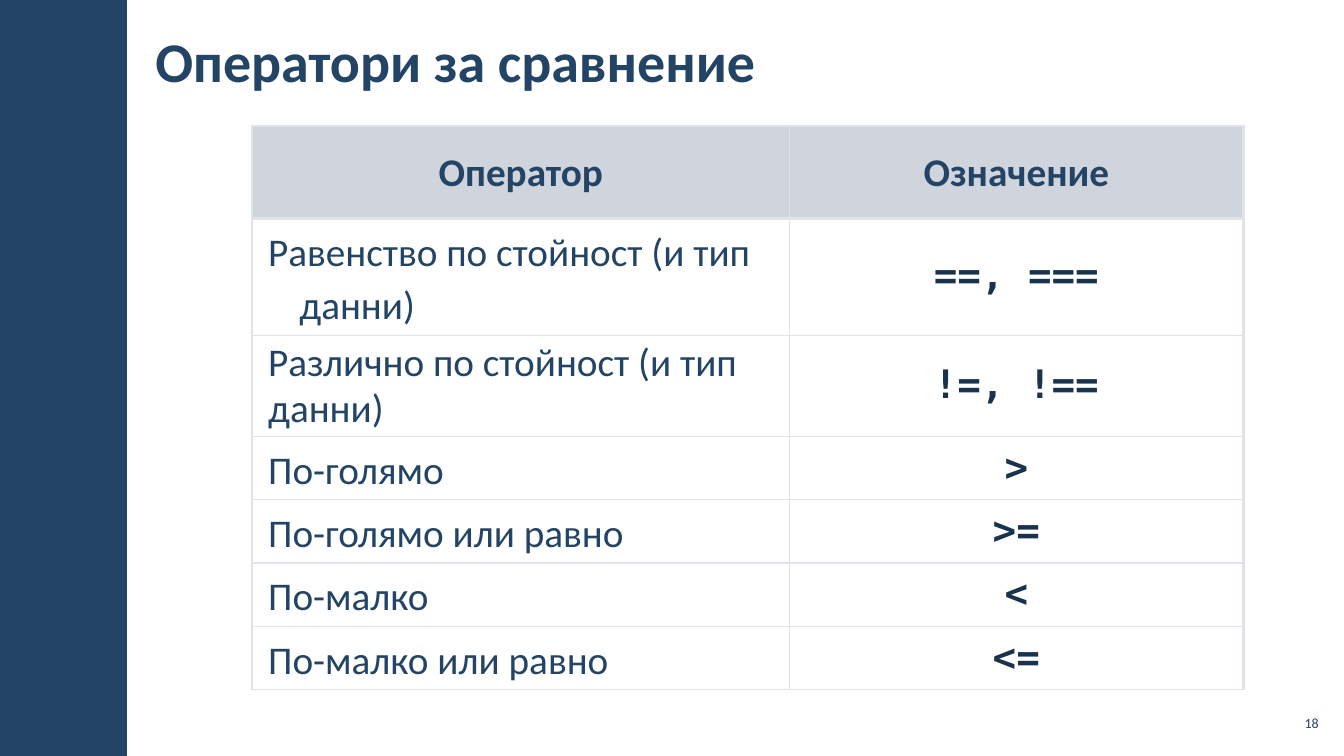
from lxml import etree
from pptx import Presentation
from pptx.dml.color import RGBColor
from pptx.enum.shapes import MSO_SHAPE
from pptx.enum.text import MSO_ANCHOR, MSO_AUTO_SIZE, PP_ALIGN
from pptx.oxml import parse_xml
from pptx.oxml.ns import nsdecls, qn
from pptx.util import Inches, Pt

NAVY = RGBColor(0x23, 0x44, 0x65)
CODE_NAVY = RGBColor(0x1A, 0x33, 0x4C)
HEADER_GRAY = RGBColor(0xA3, 0xAB, 0xBC)
BORDER_GRAY = RGBColor(0xE0, 0xE3, 0xE9)
RECTANGLE = MSO_SHAPE.RECTANGLE
MIDDLE = MSO_ANCHOR.MIDDLE
NO_AUTOFIT = MSO_AUTO_SIZE.NONE
LEFT, CENTER, RIGHT = PP_ALIGN.LEFT, PP_ALIGN.CENTER, PP_ALIGN.RIGHT
TEXT_FONT, CODE_FONT = "Calibri", "DejaVu Sans Mono"
THIN, THICK = Pt(1), Pt(2.25)
HANGING = Inches(0.31)
WRAPPED_ROW = 2

COLUMN_WIDTHS = [5.33, 4.5]
ROW_HEIGHTS = [0.92, 0.89, 0.86] + [0.55] * 4
OPERATORS = [
    ("Оператор", "Означение"),
    ("Равенство по стойност (и тип данни)", "==, ==="),
    ("Различно по стойност (и тип данни)", "!=, !=="),
    ("По-голямо", ">"),
    ("По-голямо или равно", ">="),
    ("По-малко", "<"),
    ("По-малко или равно", "<="),
]


def write_text(text_frame, text, size, alignment, bold=False, font=TEXT_FONT, color=NAVY):
    """Set one formatted paragraph and return it."""
    text_frame.text = text
    text_frame.word_wrap = True
    paragraph = text_frame.paragraphs[0]
    paragraph.alignment = alignment
    run_font = paragraph.runs[0].font
    run_font.name = font
    run_font.size = Pt(size)
    run_font.bold = bold
    run_font.color.rgb = color
    return paragraph


def set_margins(text_frame, horizontal, vertical):
    """Apply symmetric insets and middle anchoring to a text frame."""
    text_frame.margin_left = text_frame.margin_right = Inches(horizontal)
    text_frame.margin_top = text_frame.margin_bottom = Inches(vertical)
    text_frame.vertical_anchor = MIDDLE


def add_sidebar(slide):
    """Add the solid band along the left edge."""
    sidebar = slide.shapes.add_shape(RECTANGLE, 0, 0, Inches(1.26), Inches(7.5))
    sidebar.shadow.inherit = False
    sidebar.fill.solid()
    sidebar.fill.fore_color.rgb = NAVY
    sidebar.line.fill.background()


def set_title(slide, text):
    """Place and format the title placeholder."""
    title = slide.shapes.title
    title.left, title.top = Inches(1.42), Inches(0.11)
    title.width, title.height = Inches(9.18), Inches(0.97)
    write_text(title.text_frame, text, 40, LEFT, bold=True)
    title.text_frame.auto_size = NO_AUTOFIT
    set_margins(title.text_frame, 0.12, 0.04)


def add_slide_number(slide, number):
    """Add the page number in the lower right corner."""
    box = slide.shapes.add_textbox(Inches(12.65), Inches(7), Inches(0.47), Inches(0.34))
    write_text(box.text_frame, number, 10, RIGHT)
    set_margins(box.text_frame, 0.04, 0.04)


def fill_header(cell):
    """Give a header cell its half transparent fill."""
    cell.fill.solid()
    cell.fill.fore_color.rgb = HEADER_GRAY
    color = cell._tc.tcPr.find(".//" + qn("a:srgbClr"))
    etree.SubElement(color, qn("a:alpha"), val="50000")


def set_borders(cell, widths):
    """Draw the left, right, top and bottom borders of a cell."""
    properties = cell._tc.get_or_add_tcPr()
    for index, (side, width) in enumerate(zip("LRTB", widths)):
        border = parse_xml(
            f'<a:ln{side} {nsdecls("a")} w="{int(width)}"><a:solidFill>'
            f'<a:srgbClr val="{BORDER_GRAY}"/></a:solidFill></a:ln{side}>'
        )
        properties.insert(index, border)


def format_label(paragraph):
    """Apply the hanging indent and fixed line height of a label."""
    paragraph.line_spacing = Pt(38)
    paragraph.space_before = paragraph.space_after = Pt(6)
    properties = paragraph._p.get_or_add_pPr()
    properties.set("marL", str(HANGING))
    properties.set("indent", str(-HANGING))


def fill_cell(cell, text, row, column):
    """Write and format one table cell according to its place."""
    cell.margin_left = cell.margin_right = Inches(0.16)
    cell.margin_top = cell.margin_bottom = Inches(0.05)
    cell.vertical_anchor = MIDDLE
    if row == 0:
        paragraph = write_text(cell.text_frame, text, 28, CENTER, bold=True)
        fill_header(cell)
    else:
        cell.fill.background()
        if column == 0:
            paragraph = write_text(cell.text_frame, text, 28, LEFT)
        else:
            paragraph = write_text(cell.text_frame, text, 28, CENTER, True, CODE_FONT, CODE_NAVY)
    paragraph.line_spacing = 0.95
    if column == 0 and row not in (0, WRAPPED_ROW):
        format_label(paragraph)
    set_borders(cell, [
        THICK if column == 0 else THIN,
        THICK if column == 1 else THIN,
        THICK if row <= 1 else THIN,
        THICK if row == 0 else THIN,
    ])


def add_operator_table(slide):
    """Add the table of comparison operators."""
    frame = slide.shapes.add_table(
        len(OPERATORS), len(COLUMN_WIDTHS), Inches(2.5), Inches(1.25),
        Inches(sum(COLUMN_WIDTHS)), Inches(sum(ROW_HEIGHTS)),
    )
    table = frame.table
    table.first_row = table.horz_banding = False
    for column, width in zip(table.columns, COLUMN_WIDTHS):
        column.width = Inches(width)
    for row, height in zip(table.rows, ROW_HEIGHTS):
        row.height = Inches(height)
    for row, texts in enumerate(OPERATORS):
        for column, text in enumerate(texts):
            fill_cell(table.cell(row, column), text, row, column)


def main():
    """Build the slide and save it."""
    presentation = Presentation()
    presentation.slide_width, presentation.slide_height = Inches(13.33), Inches(7.5)
    slide = presentation.slides.add_slide(presentation.slide_layouts[5])
    add_sidebar(slide)
    set_title(slide, "Оператори за сравнение")
    add_operator_table(slide)
    add_slide_number(slide, "18")
    presentation.save("out.pptx")


main()
